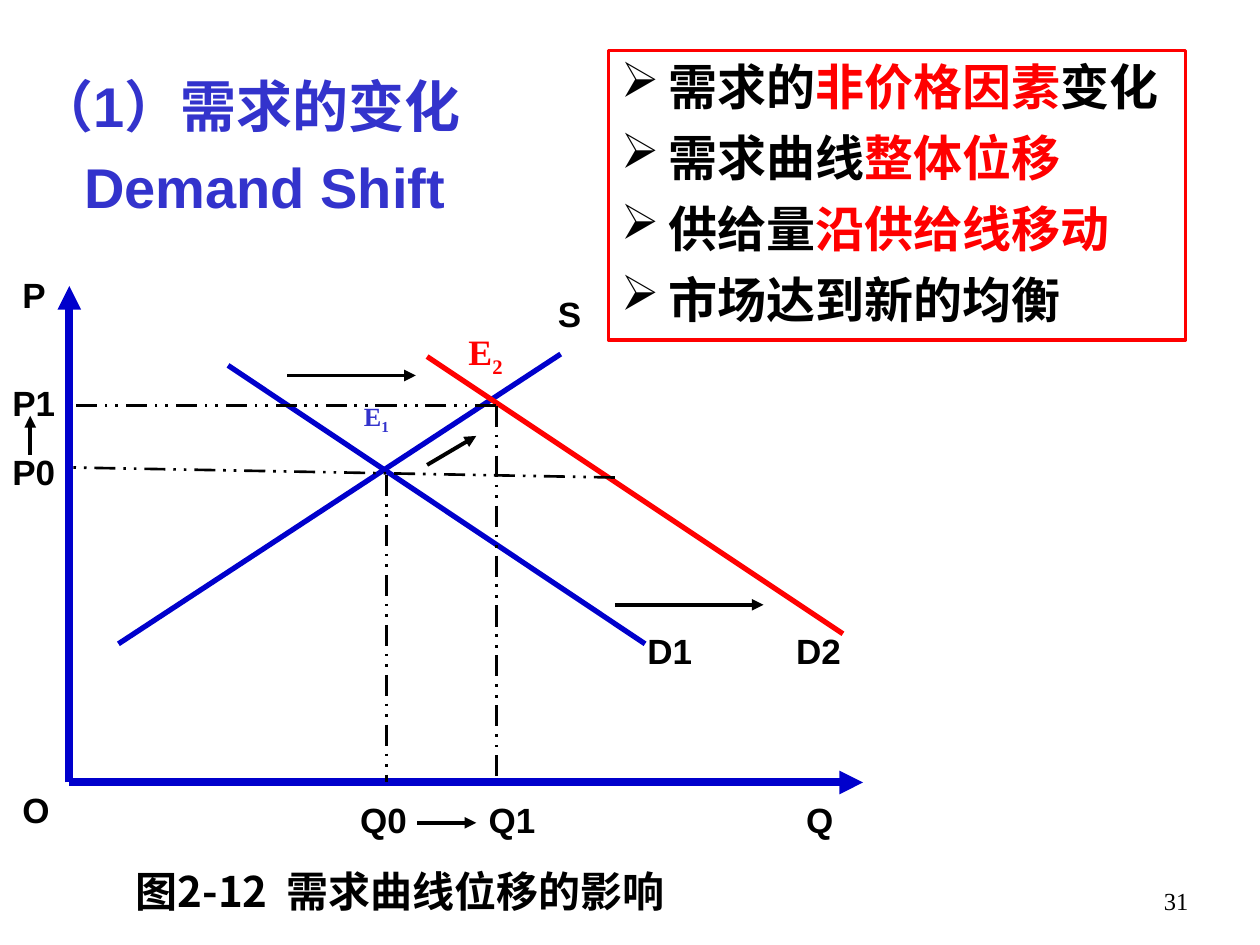
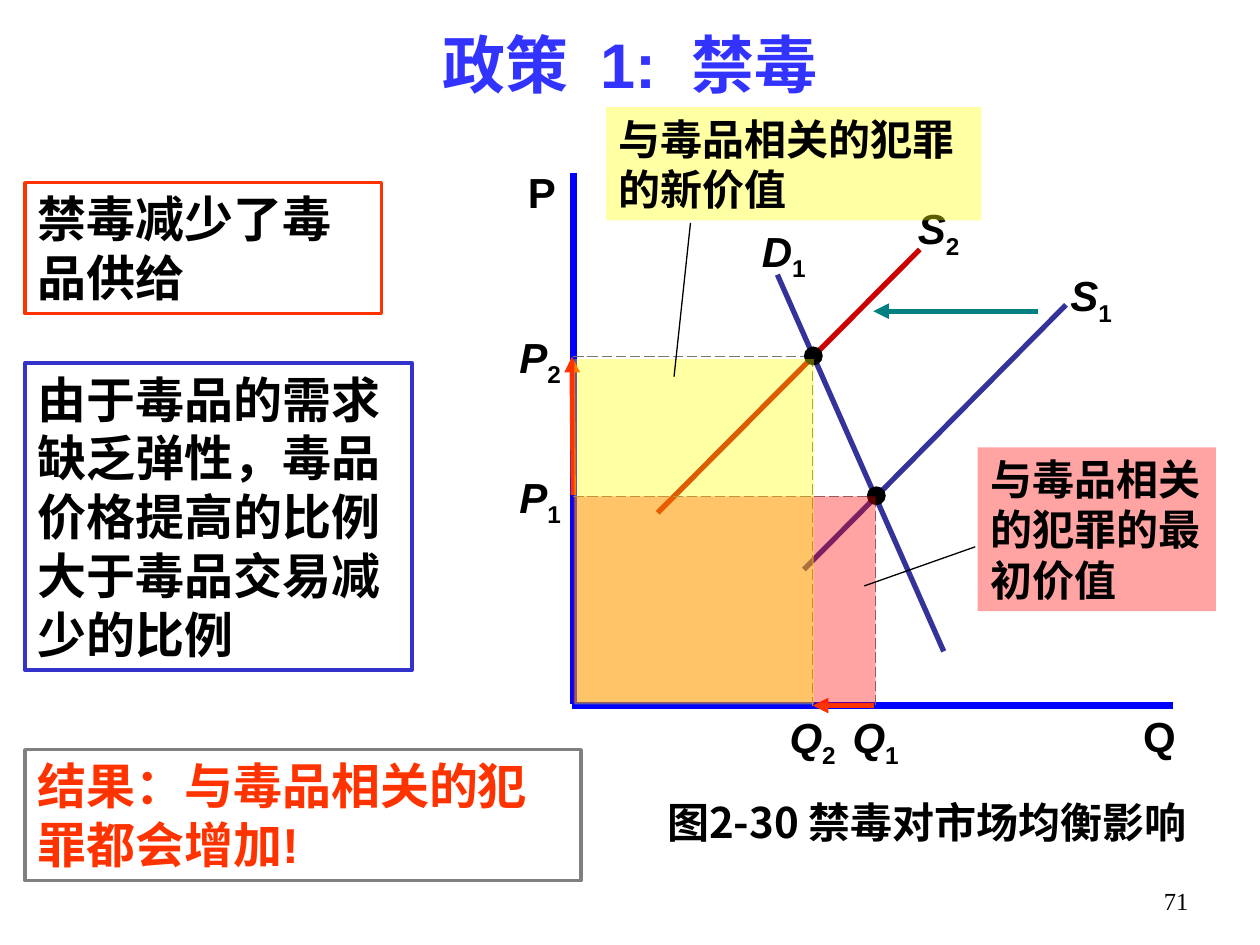
from dataclasses import dataclass

import lxml.etree
import pptx
import pptx.dml.color
import pptx.enum.dml
import pptx.enum.shapes
import pptx.enum.text
import pptx.oxml.ns
import pptx.util

ALIGN = pptx.enum.text.PP_ALIGN
SHAPE = pptx.enum.shapes.MSO_SHAPE
DASH = pptx.enum.dml.MSO_LINE
CJK, SANS, SERIF = "Noto Sans CJK SC", "Arial", "Times New Roman"
BLACK, RED, BLUE = "000000", "FF0000", "3333CC"
NAVY, ORANGE, YELLOW = "333399", "FF3300", "FFFF00"
AXIS1, AXIS2, GRAY = "0000CC", "0000FF", "777777"


@dataclass(frozen=True)
class Run:
    text: str
    color: str = ""
    sub: bool = False
    slant: bool = False
    gap: float = 0  # extra width after each letter, in points


@dataclass(frozen=True)
class Style:
    size: float
    face: str = SANS
    color: str = BLACK
    bold: bool = True
    align: ALIGN = ALIGN.LEFT
    before: float = 0
    pitch: float = 1
    bullet: str = ""
    middle: bool = False


@dataclass(frozen=True)
class Box:
    left: float
    top: float
    width: float
    height: float
    lines: tuple = ()
    style: Style = Style(24)
    edge: str = ""
    fill: str = ""
    alpha: int = 100
    kind: SHAPE = SHAPE.RECTANGLE


@dataclass(frozen=True)
class Line:
    start: tuple[float, float]
    end: tuple[float, float]
    color: str = BLACK
    width: float = 3
    arrow: bool = False
    dash: DASH | None = None


LABEL = Style(20)
NAME = Style(24)
MID = Style(24, align=ALIGN.CENTER)
RIGHT = Style(24, align=ALIGN.RIGHT)
NOTE = Style(28)
TITLE = Style(36, color="3333FF", align=ALIGN.CENTER, middle=True)
CAPTION = Style(24, CJK)
PAGE = Style(14, SERIF, bold=False, align=ALIGN.RIGHT)


def size(inches: float) -> pptx.util.Cm:
    """Turn slide inches into a length in centimetres."""
    return pptx.util.Cm(inches * 2.54)


def paint(color: str) -> pptx.dml.color.RGBColor:
    return pptx.dml.color.RGBColor.from_string(color)


def add_tag(node, tag: str, **values: str):
    return lxml.etree.SubElement(node, pptx.oxml.ns.qn(tag), values)


def add_bullet(para, mark: str) -> None:
    props = para._p.get_or_add_pPr()
    hang = size(0.38)
    props.set("marL", str(hang))
    props.set("indent", str(-hang))
    add_tag(add_tag(props, "a:buClr"), "a:srgbClr", val=BLACK)
    add_tag(props, "a:buChar", char=mark)


def set_run(run, part: Run, style: Style) -> None:
    font = run.font
    font.size = pptx.util.Pt(style.size)
    font.bold = style.bold
    font.italic = part.slant
    font.color.rgb = paint(part.color or style.color)
    font.name = style.face
    props = run._r.get_or_add_rPr()
    add_tag(props, "a:ea", typeface=CJK)
    if part.sub:
        props.set("baseline", "-25000")
    if part.gap:
        props.set("spc", str(round(part.gap * 100)))


def set_text(frame, lines: tuple, style: Style) -> None:
    anchor = pptx.enum.text.MSO_ANCHOR
    frame.word_wrap = True
    frame.vertical_anchor = anchor.MIDDLE if style.middle else anchor.TOP
    for index, line in enumerate(lines):
        parts = (Run(line),) if isinstance(line, str) else line
        para = frame.add_paragraph() if index else frame.paragraphs[0]
        if style.bullet:
            add_bullet(para, style.bullet)
        para.alignment = style.align
        para.line_spacing = style.pitch
        if index:
            para.space_before = pptx.util.Pt(style.before)
        para.text = parts[0].text
        for part in parts[1:]:
            para.add_run().text = part.text
        for run, part in zip(para.runs, parts):
            set_run(run, part, style)


def add_box(slide, box: Box):
    place = [size(v) for v in (box.left, box.top, box.width, box.height)]
    if box.edge or box.fill:
        shape = slide.shapes.add_shape(box.kind, *place)
        shape.shadow.inherit = False
        if box.fill:
            shape.fill.solid()
            shape.fill.fore_color.rgb = paint(box.fill)
            if box.alpha < 100:
                tint = shape._element.spPr.find(".//" + pptx.oxml.ns.qn("a:srgbClr"))
                add_tag(tint, "a:alpha", val=str(box.alpha * 1000))
        else:
            shape.fill.background()
        if box.edge:
            shape.line.color.rgb = paint(box.edge)
            shape.line.width = pptx.util.Pt(2)
        else:
            shape.line.fill.background()
    else:
        shape = slide.shapes.add_textbox(*place)
    if box.lines:
        set_text(shape.text_frame, box.lines, box.style)
    return shape


def add_line(slide, line: Line) -> None:
    ends = [size(v) for v in (*line.start, *line.end)]
    link = slide.shapes.add_connector(pptx.enum.shapes.MSO_CONNECTOR.STRAIGHT, *ends)
    link.line.color.rgb = paint(line.color)
    link.line.width = pptx.util.Pt(line.width)
    if line.dash:
        link.line.dash_style = line.dash
    if line.arrow:
        add_tag(link.line._get_or_add_ln(), "a:tailEnd", type="triangle")
    add_tag(link._element.spPr, "a:effectLst")


def draw(slide, *items: Box | Line) -> None:
    for item in items:
        if isinstance(item, Line):
            add_line(slide, item)
        else:
            add_box(slide, item)


def start(deck, number: int):
    """Add a blank slide with its page number."""
    slide = deck.slides.add_slide(deck.slide_layouts[6])
    draw(slide, Box(7.2, 6.98, 2.33, 0.52, (str(number),), PAGE))
    return slide


def symbol(letter: str, index: str, slant: bool = True) -> tuple:
    return ((Run(letter, slant=slant), Run(index, sub=True)),)


def demand(deck) -> None:
    slide = start(deck, 31)
    zero = (0.55, 6.21)
    # Axes and curves
    draw(
        slide,
        Line(zero, (6.85, 6.21), AXIS1, 4.5, True),
        Line(zero, (0.55, 2.27), AXIS1, 4.5, True),
        Line((0.94, 5.11), (4.45, 2.81), AXIS1),
        Line((1.81, 2.9), (5.12, 5.11), AXIS1),
        Line((3.39, 2.83), (6.69, 5.03), RED),
    )
    # Axis and curve labels
    for text, left, top in (
        ("P", 0.08, 2.12), ("P1", 0, 2.98), ("P0", 0, 3.53),
        ("O", 0.08, 6.21), ("Q0", 2.76, 6.29), ("Q1", 3.78, 6.29),
        ("Q", 6.3, 6.29), ("S", 4.33, 2.27), ("D1", 5.04, 4.95),
        ("D2", 6.22, 4.95),
    ):
        draw(slide, Box(left, top, 0.7, 0.44, (text,), LABEL))
    # Dashed guides
    for first, last in (
        ((3.07, 3.77), (3.07, 6.21)), ((3.94, 3.22), (3.94, 6.21)),
        ((4.88, 3.79), (0.55, 3.71)), ((3.94, 3.22), (0.55, 3.22)),
    ):
        draw(slide, Line(first, last, width=1.5, dash=DASH.DASH_DOT_DOT))
    # Arrows of change
    for first, last in (
        ((2.28, 2.98), (3.3, 2.98)), ((4.88, 4.8), (6.06, 4.8)),
        ((3.39, 3.69), (3.78, 3.46)), ((3.31, 6.53), (3.78, 6.53)),
        ((0.24, 3.61), (0.24, 3.3)),
    ):
        draw(slide, Line(first, last, width=2.25, arrow=True))
    # Key points, caption and points of balance
    points = (
        (Run("需求的"), Run("非价格因素", RED), Run("变化")),
        (Run("需求曲线"), Run("整体位移", RED)),
        (Run("供给量"), Run("沿供给线移动", RED)),
        "市场达到新的均衡",
    )
    title = (Run("图2-12"), Run(" ", gap=5.4), Run("需求曲线位移的影响"))
    draw(
        slide,
        Box(4.83, 0.4, 4.58, 2.3, points, Style(28, CJK, before=7, bullet="➢"), RED),
        Box(0.98, 6.82, 5.12, 0.5, (title,), CAPTION),
        Box(2.79, 3.15, 0.63, 0.39, symbol("E", "1", False),
            Style(15, SERIF, BLUE, pitch=0.8)),
        Box(3.62, 2.57, 0.87, 0.51, symbol("E", "2", False),
            Style(20.4, SERIF, RED, pitch=0.9)),
    )
    # Heading with an indented second line
    head = add_box(slide, Box(0.2, 0.52, 3.57, 1.81,
                              ("（1）需求的变化", "Demand Shift"),
                              Style(32, color=BLUE, before=8)))
    props = head.text_frame.paragraphs[1]._p.get_or_add_pPr()
    props.set("marL", str(size(0.37)))


def policy(deck) -> None:
    slide = start(deck, 71)
    space = Run(" ", gap=10)
    title = (Run("政策"), space, Run("1:"), space, Run("禁毒"))
    # Title, axes and curves
    draw(
        slide,
        Box(0.5, 0.15, 9, 0.71, (title,), TITLE),
        Line((6.17, 2.18), (7.49, 5.17), NAVY),
        Line((4.55, 1.37), (4.55, 5.59), AXIS2, 4),
        Line((4.54, 5.6), (9.31, 5.6), AXIS2, 4),
        Box(3.03, 1.27, 1.48, 0.5, ("P",), RIGHT),
        Box(7.81, 5.59, 1.62, 0.5, ("Q",), RIGHT),
        Line((6.38, 4.52), (8.46, 2.42), NAVY),
        Line((5.22, 4.07), (7.3, 1.98), "CC0000"),
    )
    # Labels with an index
    for letter, index, left, top, width, style in (
        ("D", "1", 5.86, 1.74, 0.72, MID), ("S", "1", 8.35, 2.09, 0.62, MID),
        ("S", "2", 7.09, 1.56, 0.72, MID), ("P", "1", 3.88, 3.69, 0.67, RIGHT),
        ("P", "2", 3.9, 2.58, 0.65, RIGHT), ("Q", "1", 6.65, 5.6, 0.6, MID),
        ("Q", "2", 6.13, 5.6, 0.64, MID),
    ):
        draw(slide, Box(left, top, width, 0.56, symbol(letter, index), style))
    # Guides and dots where the curves cross
    for x, y in ((6.95, 3.94), (6.45, 2.83)):
        for first, last in (((4.55, y), (x, y)), ((x, y), (x, 5.6))):
            draw(slide, Line(first, last, GRAY, 0.75, dash=DASH.LONG_DASH))
        draw(slide, Box(x - 0.07, y - 0.08, 0.15, 0.15, fill=BLACK, kind=SHAPE.OVAL))
    # Arrows of change
    for first, last, color in (
        ((8.24, 2.47), (6.93, 2.47), "008080"),
        ((6.94, 5.6), (6.45, 5.6), ORANGE),
        ((4.55, 3.93), (4.54, 2.83), ORANGE),
    ):
        draw(slide, Line(first, last, color, arrow=True))
    # Framed notes
    for top, width, height, text, edge, color in (
        (1.45, 2.83, 1.04, "禁毒减少了毒品供给", ORANGE, BLACK),
        (2.88, 3.07, 2.44,
         "由于毒品的需求缺乏弹性，毒品价格提高的比例大于毒品交易减少的比例", BLUE, BLACK),
        (5.95, 4.41, 1.04, "结果：与毒品相关的犯罪都会增加!", "808080", ORANGE),
    ):
        draw(slide, Box(0.2, top, width, height, ((Run(text, color),),), NOTE, edge))
    # Shaded values, callouts and caption
    draw(
        slide,
        Box(4.55, 3.94, 2.4, 1.64, fill=RED, alpha=36),
        Box(4.56, 2.85, 1.9, 2.74, fill=YELLOW, alpha=36),
        Box(4.81, 0.85, 2.98, 0.9, ("与毒品相关的犯罪的新价值",), NAME,
            fill=YELLOW, alpha=36),
        Line((5.48, 1.77), (5.35, 2.99), width=0.75),
        Box(7.76, 3.55, 1.89, 1.3, ("与毒品相关的犯罪的最初价值",), NAME,
            fill=RED, alpha=36),
        Line((6.86, 4.65), (7.74, 4.34), width=0.75),
        Box(5.03, 6.27, 4.65, 0.9, ("图2-30 禁毒对市场均衡影响",),
            Style(24, CJK, align=ALIGN.CENTER)),
    )


def main() -> None:
    deck = pptx.Presentation()
    deck.slide_width, deck.slide_height = size(10), size(7.5)
    demand(deck)
    policy(deck)
    deck.save("out.pptx")


if __name__ == "__main__":
    main()
